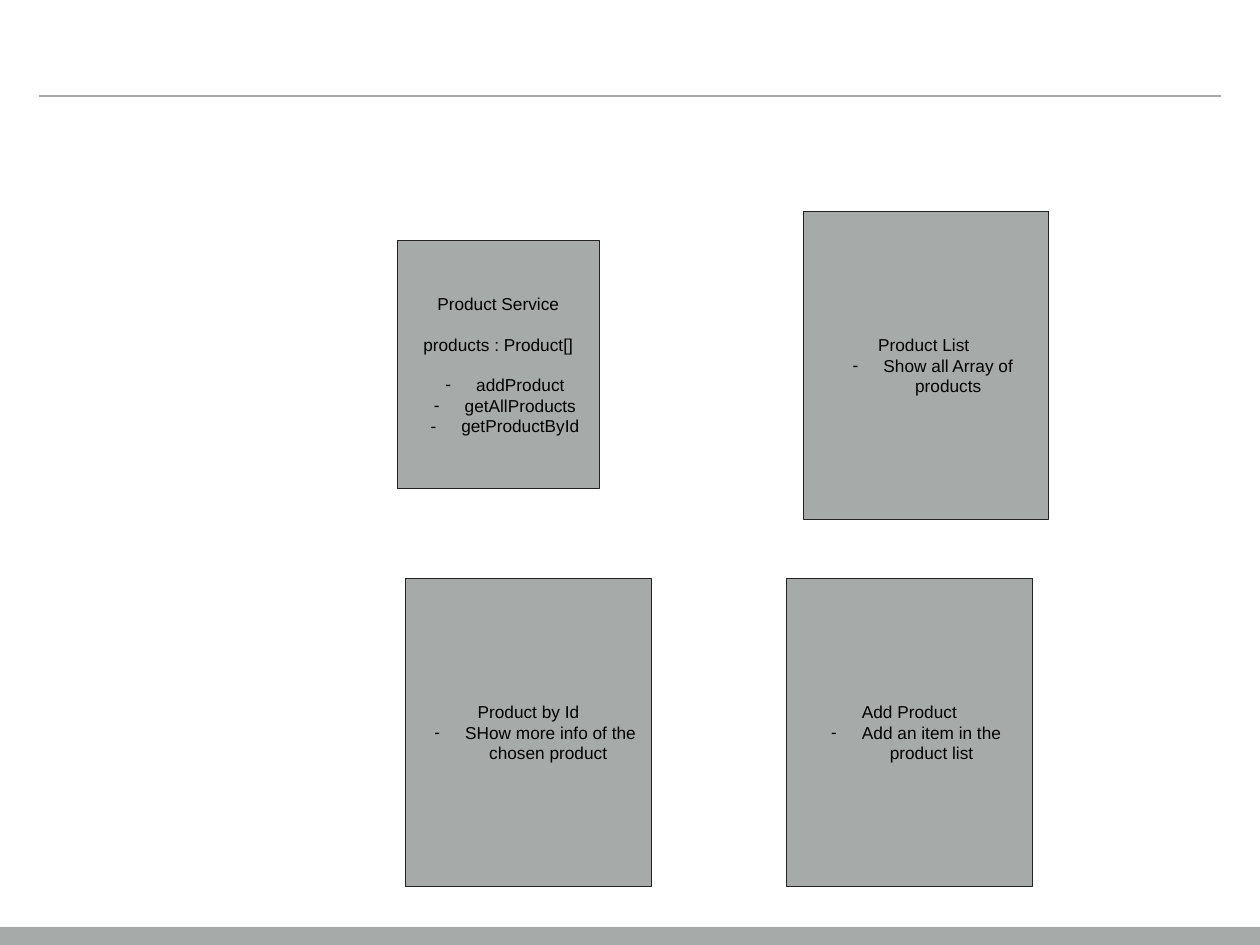
from lxml import etree
from pptx import Presentation
from pptx.dml.color import RGBColor
from pptx.enum.shapes import MSO_CONNECTOR, MSO_SHAPE
from pptx.enum.text import MSO_ANCHOR, PP_ALIGN
from pptx.oxml.ns import qn
from pptx.util import Pt

STRAIGHT = MSO_CONNECTOR.STRAIGHT
RECTANGLE = MSO_SHAPE.RECTANGLE
MIDDLE = MSO_ANCHOR.MIDDLE
CENTER = PP_ALIGN.CENTER

SLIDE_WIDTH, SLIDE_HEIGHT = 1024, 768
GREY, OUTLINE, BLACK = "A6AAA9", "222222", "000000"
BLANK_LINE = 16.1
CARD_FRAME = {
    "word_wrap": True, "vertical_anchor": MIDDLE,
    "margin_left": Pt(7.2), "margin_right": Pt(7.2),
    "margin_top": Pt(7.2), "margin_bottom": Pt(7.2),
}
CARD_FONT = {"name": "Arial", "size": Pt(14)}
VIEW_SIZE = (199.4, 249.9)
CARDS = [
    ((653, 172, *VIEW_SIZE), [["Product List "]], ["Show all Array of products"]),
    ((639.4, 470.2, *VIEW_SIZE), [["Add Product"]], ["Add an item in the product list"]),
    ((329.8, 470.2, *VIEW_SIZE), [["Product by Id"]], ["SHow more info of the chosen product "]),
    ((323, 195.8, 163.8, 201.6), [["Product Service"], ["products : Product[]"]],
     ["addProduct", "getAllProducts", "getProductById"]),
]


def colour(hex_value):
    """Turn a hex string into a colour."""
    return RGBColor.from_string(hex_value)


def apply_format(target, values):
    """Set each attribute in values on target."""
    for attribute, value in values.items():
        setattr(target, attribute, value)


def add_rectangle(slide, box, outline=None):
    """Draw a grey rectangle in box, with an optional outline."""
    rectangle = slide.shapes.add_shape(RECTANGLE, *map(Pt, box))
    rectangle.shadow.inherit = False
    rectangle.fill.solid()
    rectangle.fill.fore_color.rgb = colour(GREY)
    if outline:
        rectangle.line.color.rgb = colour(outline)
        rectangle.line.width = Pt(0.75)
    else:
        rectangle.line.fill.background()
    return rectangle


def add_dash(paragraph):
    """Give paragraph a hanging black dash."""
    properties = paragraph._p.get_or_add_pPr()
    properties.set("marL", str(Pt(36)))
    properties.set("indent", str(-Pt(25)))
    bullet_colour = etree.SubElement(properties, qn("a:buClr"))
    etree.SubElement(bullet_colour, qn("a:srgbClr"), val=BLACK)
    etree.SubElement(properties, qn("a:buFont"), typeface="Arial")
    etree.SubElement(properties, qn("a:buChar"), char="-")


def add_card(slide, box, headings, features):
    """Draw a component card with headings above its dashed features."""
    frame = add_rectangle(slide, box, OUTLINE).text_frame
    apply_format(frame, CARD_FRAME)
    spaced = len(headings) > 1
    lines = [(text, False) for heading in headings for text in heading]
    lines += [(text, True) for text in features]
    for index, (text, dashed) in enumerate(lines):
        paragraph = frame.add_paragraph() if index else frame.paragraphs[0]
        if dashed:
            add_dash(paragraph)
        paragraph.alignment = CENTER
        if spaced and 0 < index <= len(headings):
            paragraph.space_before = Pt(BLANK_LINE)
        paragraph.text = text
        apply_format(paragraph.font, CARD_FONT)
        paragraph.font.color.rgb = colour(BLACK)


def add_header_rule(slide, box):
    """Draw the grey rule along the top of box."""
    left, top, width, _ = box
    rule = slide.shapes.add_connector(STRAIGHT, Pt(left), Pt(top), Pt(left + width), Pt(top))
    rule.line.color.rgb = colour(GREY)
    rule.line.width = Pt(2)
    etree.SubElement(rule._element.spPr, qn("a:effectLst"))


def main():
    """Build and save the component overview slide."""
    presentation = Presentation()
    apply_format(presentation, {"slide_width": Pt(SLIDE_WIDTH), "slide_height": Pt(SLIDE_HEIGHT)})
    slide = presentation.slides.add_slide(presentation.slide_layouts[6])
    add_header_rule(slide, (32, 78.2, SLIDE_WIDTH - 64, 0))
    add_rectangle(slide, (0, 753.3, SLIDE_WIDTH, 14.7))
    for box, headings, features in CARDS:
        add_card(slide, box, headings, features)
    presentation.save("out.pptx")


if __name__ == "__main__":
    main()
